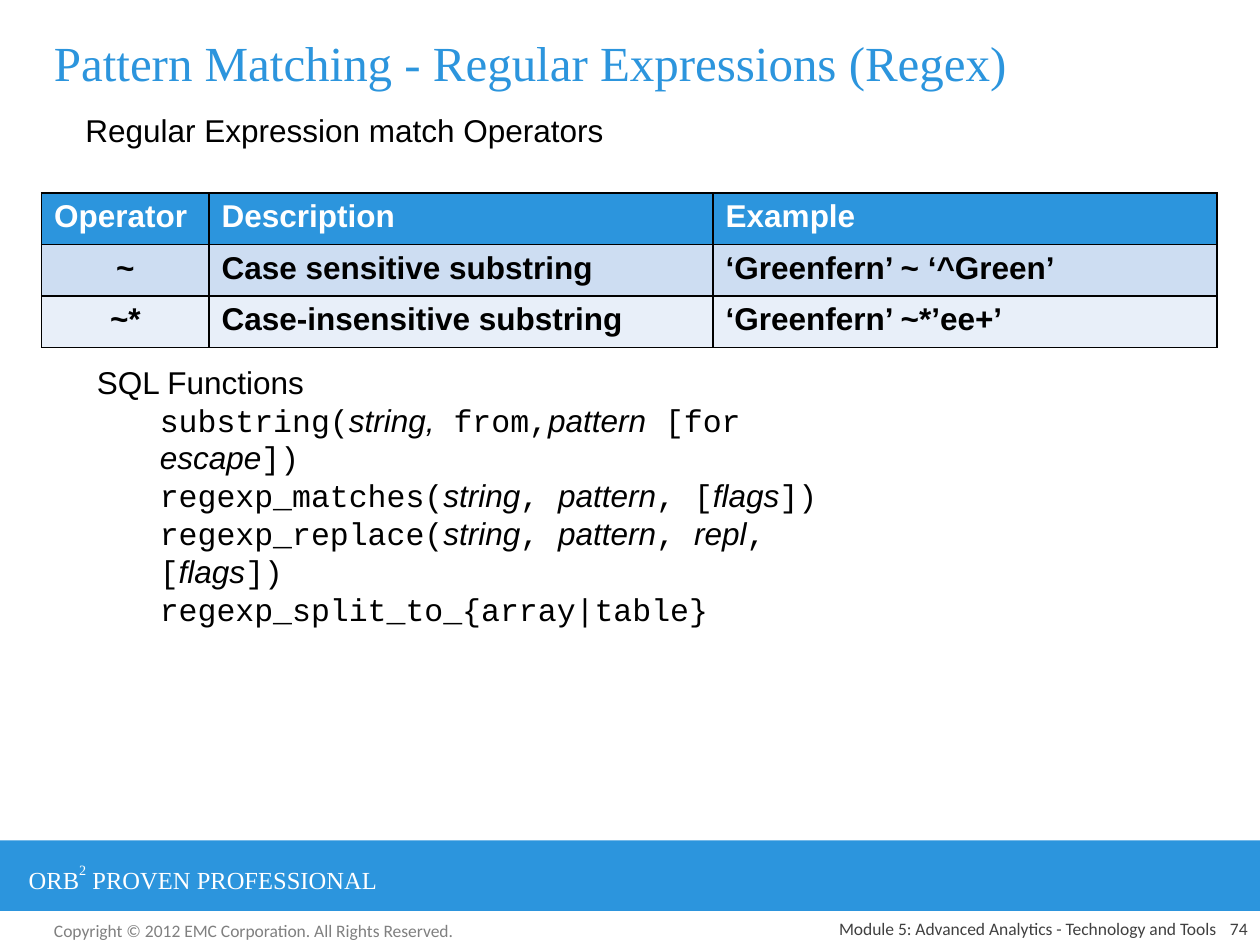
from dataclasses import dataclass

from lxml.etree import SubElement
from pptx import Presentation
from pptx.dml.color import RGBColor
from pptx.enum.shapes import MSO_SHAPE
from pptx.enum.text import MSO_ANCHOR, PP_ALIGN
from pptx.oxml import parse_xml
from pptx.oxml.ns import nsdecls, qn
from pptx.util import Inches, Pt

COLORS = {
    "blue": "2C95DD", "band_dark": "CDDDF2", "band_light": "E8EFF9",
    "white": "FFFFFF", "black": "000000", "gray": "808080", "dark_gray": "404040",
}


@dataclass
class Label:
    text: str
    box: tuple[float, float, float, float]
    size: int
    font: str
    color: str
    align: PP_ALIGN = PP_ALIGN.LEFT
    anchor: MSO_ANCHOR = MSO_ANCHOR.TOP
    wrap: bool = True


LABELS = [
    Label("Copyright © 2012 EMC Corporation. All Rights Reserved.",
          (0.33, 7.25, 3.42, 0.27), 10, "Calibri", "gray"),
    Label("Pattern Matching - Regular Expressions (Regex)",
          (0.33, 0.08, 9.25, 0.83), 28, "Times New Roman", "blue", anchor=MSO_ANCHOR.MIDDLE),
    Label("Regular Expression match Operators",
          (0.58, 0.83, 4.42, 0.4), 18, "Arial", "black", wrap=False),
    Label("74", (9.5, 7.25, 0.5, 0.25), 10, "Calibri", "dark_gray",
          PP_ALIGN.RIGHT, MSO_ANCHOR.BOTTOM),
    Label("Module 5: Advanced Analytics - Technology and Tools",
          (5.17, 7.25, 4.58, 0.25), 10, "Calibri", "dark_gray",
          PP_ALIGN.RIGHT, MSO_ANCHOR.BOTTOM),
]

# Each signature alternates between code and italic argument names.
SIGNATURES = [
    ("substring(", "string,", " from,", "pattern", " [for ", "escape", "])"),
    ("regexp_matches(", "string", ", ", "pattern", ", [", "flags", "])"),
    ("regexp_replace(", "string", ", ", "pattern", ", ", "repl", ", [", "flags", "])"),
    ("regexp_split_to_{array|table}",),
]

OPERATORS = [
    ("Operator", "Description", "Example"),
    ("~", "Case sensitive substring", "‘Greenfern’ ~ ‘^Green’"),
    ("~*", "Case-insensitive substring", "‘Greenfern’ ~*’ee+’"),
]
ROW_FILLS = ["blue", "band_dark", "band_light"]
COLUMN_WIDTHS = [1.33, 4, 4]
ROW_HEIGHT = 0.41


def rgb(name: str) -> RGBColor:
    return RGBColor.from_string(COLORS[name])


def style_run(r, size: int, font: str, color: str, bold=False, italic=False) -> None:
    r.font.size = Pt(size)
    r.font.name = font
    r.font.color.rgb = rgb(color)
    r.font.bold = bold
    r.font.italic = italic


def add_label(s, label: Label):
    tb = s.shapes.add_textbox(*map(Inches, label.box))
    tf = tb.text_frame
    tf.word_wrap = label.wrap
    tf.vertical_anchor = label.anchor
    p = tf.paragraphs[0]
    p.text = label.text
    p.alignment = label.align
    style_run(p.runs[0], label.size, label.font, label.color)
    return tf


def add_footer_band(s) -> None:
    band = s.shapes.add_shape(MSO_SHAPE.RECTANGLE, 0, Inches(6.67), Inches(10), Inches(0.56))
    band.shadow.inherit = False
    band.fill.solid()
    band.fill.fore_color.rgb = rgb("blue")
    band.line.fill.background()
    tf = add_label(s, Label("ORB", (0.13, 6.79, 3.7, 0.34), 14, "Times New Roman", "white"))
    for text, baseline in (("2", 56000), (" PROVEN PROFESSIONAL", 0)):
        r = tf.paragraphs[0].add_run()
        r.text = text
        style_run(r, 14, "Times New Roman", "white")
        r.font._element.set("baseline", str(baseline))


def add_functions(s) -> None:
    tf = add_label(s, Label("SQL Functions", (0.67, 2.83, 6.25, 1.62), 18, "Arial", "black"))
    for signature in SIGNATURES:
        p = tf.add_paragraph()
        p.level = 1
        pPr = p._p.get_or_add_pPr()
        pPr.set("marL", str(Inches(0.5)))
        pPr.set("indent", "0")
        for i, part in enumerate(signature):
            is_argument = i % 2 == 1
            r = p.add_run()
            r.text = part
            style_run(r, 18, "Arial" if is_argument else "Courier New", "black",
                      italic=is_argument)


def add_borders(cell) -> None:
    tcPr = cell._tc.get_or_add_tcPr()
    for i, side in enumerate(("lnL", "lnR", "lnT", "lnB")):
        ln = parse_xml(f'<a:{side} {nsdecls("a")} w="{Pt(1)}"/>')
        fill = SubElement(ln, qn("a:solidFill"))
        SubElement(fill, qn("a:srgbClr"), val=COLORS["black"])
        tcPr.insert(i, ln)


def add_operator_table(s) -> None:
    rows, cols = len(OPERATORS), len(COLUMN_WIDTHS)
    table = s.shapes.add_table(rows, cols, Inches(0.33), Inches(1.53),
                               Inches(sum(COLUMN_WIDTHS)), Inches(rows * ROW_HEIGHT)).table
    for column, width in zip(table.columns, COLUMN_WIDTHS):
        column.width = Inches(width)
    for i, texts in enumerate(OPERATORS):
        table.rows[i].height = Inches(ROW_HEIGHT)
        for j, text in enumerate(texts):
            cell = table.cell(i, j)
            cell.fill.solid()
            cell.fill.fore_color.rgb = rgb(ROW_FILLS[i])
            add_borders(cell)
            p = cell.text_frame.paragraphs[0]
            p.text = text
            p.alignment = PP_ALIGN.CENTER if i > 0 and j == 0 else PP_ALIGN.LEFT
            style_run(p.runs[0], 18, "Arial", "black" if i else "white", bold=True)


def main() -> None:
    prs = Presentation()
    prs.slide_width, prs.slide_height = Inches(10), Inches(7.5)
    s = prs.slides.add_slide(prs.slide_layouts[6])
    add_footer_band(s)
    for label in LABELS:
        add_label(s, label)
    add_functions(s)
    add_operator_table(s)
    prs.save("out.pptx")


if __name__ == "__main__":
    main()
